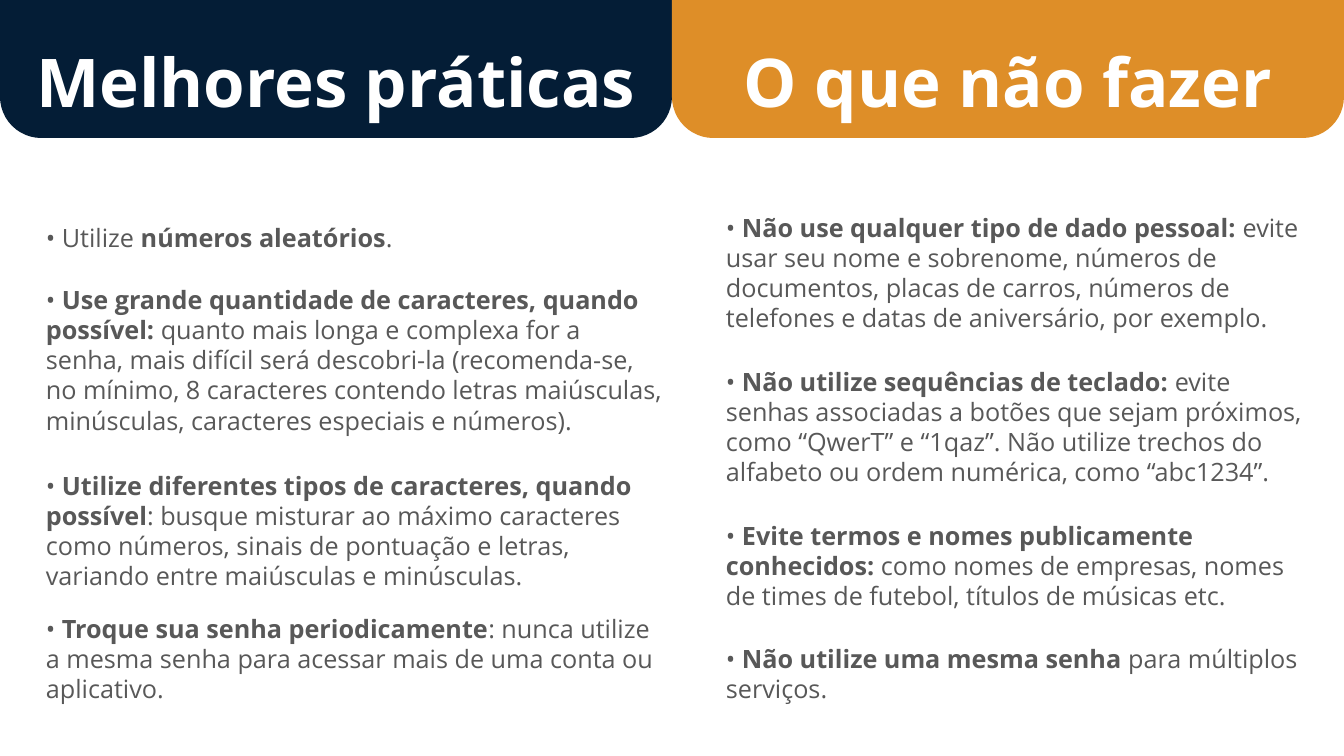
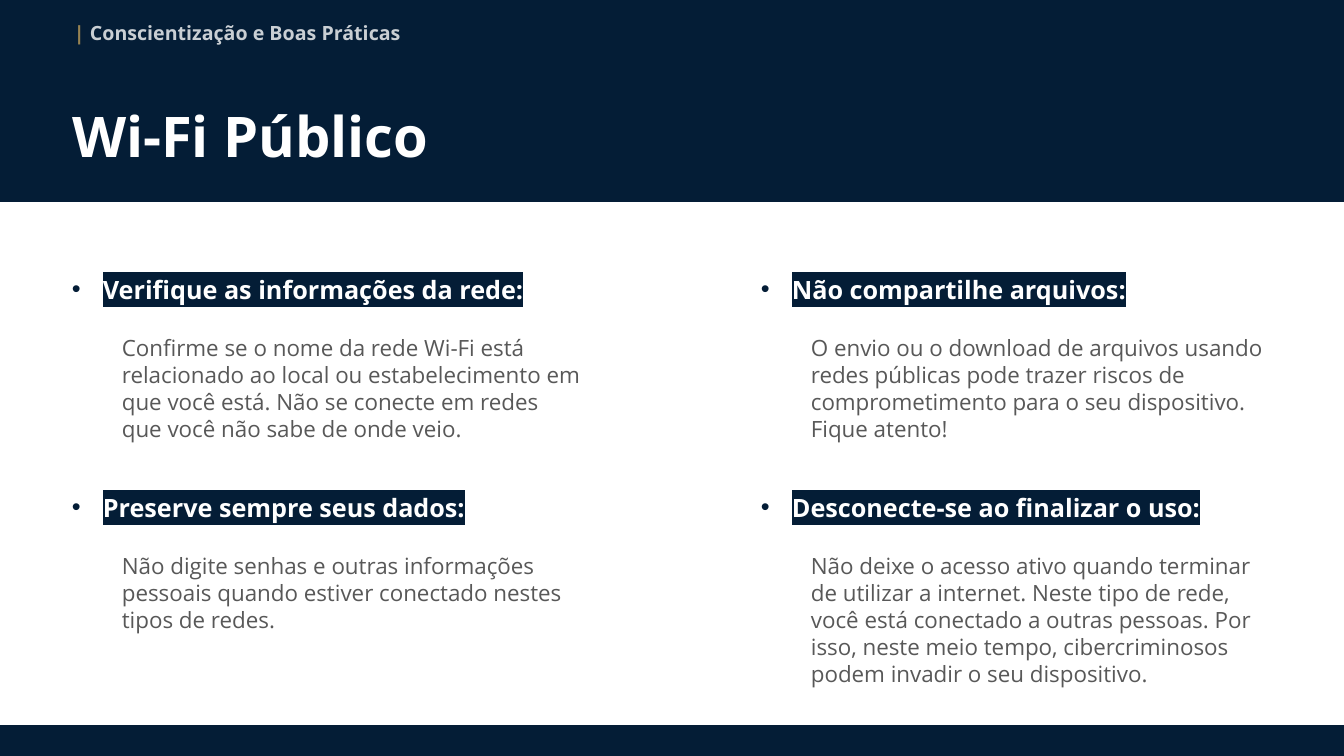
from lxml import etree
from pptx import Presentation
from pptx.dml.color import RGBColor
from pptx.enum.shapes import MSO_SHAPE
from pptx.enum.text import MSO_ANCHOR, MSO_AUTO_SIZE, PP_ALIGN
from pptx.oxml.ns import qn
from pptx.util import Emu, Pt

RECT, ROUNDED = MSO_SHAPE.RECTANGLE, MSO_SHAPE.ROUNDED_RECTANGLE
LEFT, CENTER = PP_ALIGN.LEFT, PP_ALIGN.CENTER
TOP, BOTTOM = MSO_ANCHOR.TOP, MSO_ANCHOR.BOTTOM

FONT = "Open Sans"
NAVY, ORANGE, GREY, WHITE, GOLD = "041D36", "DE8E28", "585858", "FFFFFF", "FFCC66"
SLIDE_W, SLIDE_H = 1344, 756
EMU_PER_PX = 914400 / 100.8

# Each advice: top in px, then lead-in, bold part and remainder
PRACTICE_COLUMNS = [
    {
        "heading": "Melhores práticas", "color": NAVY, "left": 36, "width": 636,
        "advice": [
            (217, "• Utilize ", "números aleatórios", "."),
            (279, "• ", "Use grande quantidade de caracteres, quando possível: ",
             "quanto mais longa e complexa for a senha, mais difícil será descobri-la "
             "(recomenda-se, no mínimo, 8 caracteres contendo letras maiúsculas, "
             "minúsculas, caracteres especiais e números)."),
            (465, "• ", "Utilize diferentes tipos de caracteres, quando possível",
             ": busque misturar ao máximo caracteres como números, sinais de pontuação "
             "e letras, variando entre maiúsculas e minúsculas."),
            (608, "• ", "Troque sua senha periodicamente",
             ": nunca utilize a mesma senha para acessar mais de uma conta ou aplicativo."),
        ],
    },
    {
        "heading": "O que não fazer", "color": ORANGE, "left": 716, "width": 600,
        "advice": [
            (207, "• ", "Não use qualquer tipo de dado pessoal: ",
             "evite usar seu nome e sobrenome, números de documentos, placas de carros, "
             "números de telefones e datas de aniversário, por exemplo."),
            (361, "• ", "Não utilize sequências de teclado: ",
             "evite senhas associadas a botões que sejam próximos, como “QwerT” e “1qaz”. "
             "Não utilize trechos do alfabeto ou ordem numérica, como “abc1234”."),
            (515, "• ", "Evite termos e nomes publicamente conhecidos: ",
             "como nomes de empresas, nomes de times de futebol, títulos de músicas etc."),
            (638, "• ", "Não utilize uma mesma senha ", "para múltiplos serviços."),
        ],
    },
]

SECTION = "Conscientização e Boas Práticas"
WIFI_TITLE = "Wi-Fi Público"
# Read across, two per row
WIFI_TIPS = [
    ("Verifique as informações da rede:",
     "Confirme se o nome da rede Wi-Fi está relacionado ao local ou estabelecimento "
     "em que você está. Não se conecte em redes que você não sabe de onde veio."),
    ("Não compartilhe arquivos:",
     "O envio ou o download de arquivos usando redes públicas pode trazer riscos de "
     "comprometimento para o seu dispositivo. Fique atento!"),
    ("Preserve sempre seus dados:",
     "Não digite senhas e outras informações pessoais quando estiver conectado nestes "
     "tipos de redes."),
    ("Desconecte-se ao finalizar o uso:",
     "Não deixe o acesso ativo quando terminar de utilizar a internet. Neste tipo de "
     "rede, você está conectado a outras pessoas. Por isso, neste meio tempo, "
     "cibercriminosos podem invadir o seu dispositivo."),
]


def px(length):
    return Emu(round(length * EMU_PER_PX))


def rgb(color):
    return RGBColor.from_string(color)


def add_band(slide, left, top, width, height, color, preset=RECT):
    band = slide.shapes.add_shape(preset, px(left), px(top), px(width), px(height))
    band.shadow.inherit = False
    band.fill.solid()
    band.fill.fore_color.rgb = rgb(color)
    band.line.fill.background()


def place_text(slide, left, top, width, height, anchor=TOP, title=False):
    """Return the text frame of the slide's title or of a new text box."""
    if title:
        holder = slide.shapes.title
        holder.left, holder.top = px(left), px(top)
        holder.width, holder.height = px(width), px(height)
    else:
        holder = slide.shapes.add_textbox(px(left), px(top), px(width), px(height))
    frame = holder.text_frame
    frame.word_wrap = True
    frame.auto_size = MSO_AUTO_SIZE.NONE
    frame.vertical_anchor = anchor
    return frame


def add_text(paragraph, text, size=18, color=GREY, bold=False, align=LEFT,
             alpha=None, highlight=None):
    paragraph.alignment = align
    run = paragraph.add_run()
    run.text = text
    font = run.font
    font.name, font.size, font.bold = FONT, Pt(size), bold
    font.color.rgb = rgb(color)
    fill = run._r.rPr.find(qn("a:solidFill"))
    if alpha:
        etree.SubElement(fill[0], qn("a:alpha"), val=str(alpha * 1000))
    if highlight:
        mark = etree.Element(qn("a:highlight"))
        etree.SubElement(mark, qn("a:srgbClr"), val=highlight)
        fill.addnext(mark)


def indent(paragraph, margin, first_line=0, bullet_color=None):
    properties = paragraph._p.get_or_add_pPr()
    properties.set("marL", str(px(margin)))
    properties.set("indent", str(px(first_line)))
    if bullet_color:
        tint = etree.SubElement(properties, qn("a:buClr"))
        etree.SubElement(tint, qn("a:srgbClr"), val=bullet_color)
        etree.SubElement(properties, qn("a:buFont"), typeface="Arial")
        etree.SubElement(properties, qn("a:buChar"), char="•")


def build_practices(slide):
    half = SLIDE_W // 2
    for index, column in enumerate(PRACTICE_COLUMNS):
        add_band(slide, index * half, -110, half, 248, column["color"], ROUNDED)
        heading = place_text(slide, index * half, 26, half, 100, BOTTOM, title=index == 0)
        add_text(heading.paragraphs[0], column["heading"], size=48, color=WHITE,
                 bold=True, align=CENTER)
        tops = [item[0] for item in column["advice"]] + [720]
        for (top, lead, strong, rest), next_top in zip(column["advice"], tops[1:]):
            frame = place_text(slide, column["left"], top, column["width"], next_top - top)
            for text, bold in ((lead, False), (strong, True), (rest, False)):
                add_text(frame.paragraphs[0], text, bold=bold)
    # The bands are added after the title, so the title is brought to the front
    slide.shapes._spTree.append(slide.shapes.title._element)


def build_wifi(slide):
    add_band(slide, 0, 0, SLIDE_W, 202, NAVY)
    add_band(slide, 0, 725, SLIDE_W, 31, NAVY)
    title = place_text(slide, 62, 96, 531, 78, title=True)
    add_text(title.paragraphs[0], WIFI_TITLE, size=40, color=WHITE, bold=True)
    slide.shapes._spTree.append(slide.shapes.title._element)

    section = place_text(slide, 64, 16, 355, 34).paragraphs[0]
    add_text(section, "| ", size=14, color=GOLD, bold=True, alpha=58)
    add_text(section, SECTION, size=14, color=WHITE, bold=True, alpha=78)

    for index, (heading, advice) in enumerate(WIFI_TIPS):
        row, column = divmod(index, 2)
        frame = place_text(slide, 62 + column * 689, 269 + row * 218, 531, 207)
        first = frame.paragraphs[0]
        add_text(first, heading, color=WHITE, bold=True, highlight=NAVY)
        indent(first, 31, -31, bullet_color=NAVY)
        body = frame.add_paragraph()
        body.level = 1
        body.space_before = Pt(21.6)
        add_text(body, advice, size=16)
        indent(body, 50)


def main():
    deck = Presentation()
    deck.slide_width, deck.slide_height = px(SLIDE_W), px(SLIDE_H)
    title_only = deck.slide_layouts[5]
    for build in (build_practices, build_wifi):
        build(deck.slides.add_slide(title_only))
    deck.save("out.pptx")


if __name__ == "__main__":
    main()
